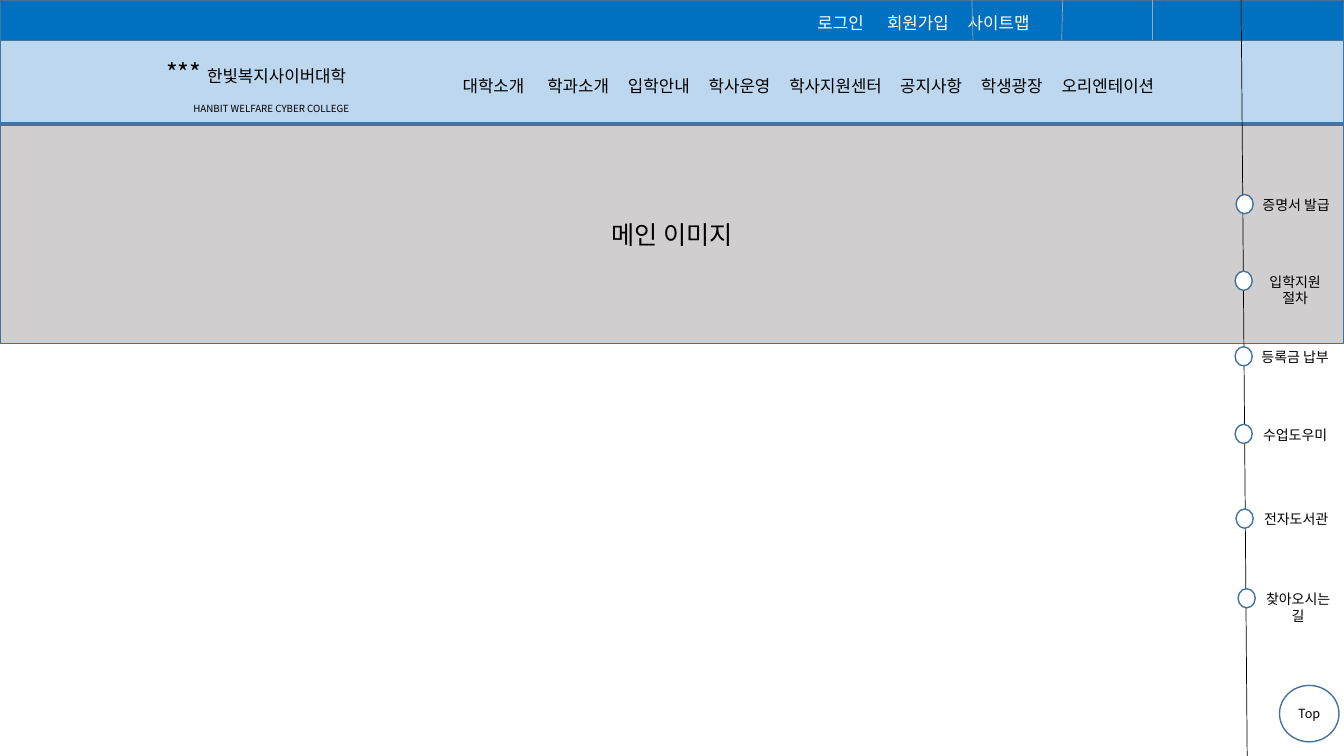
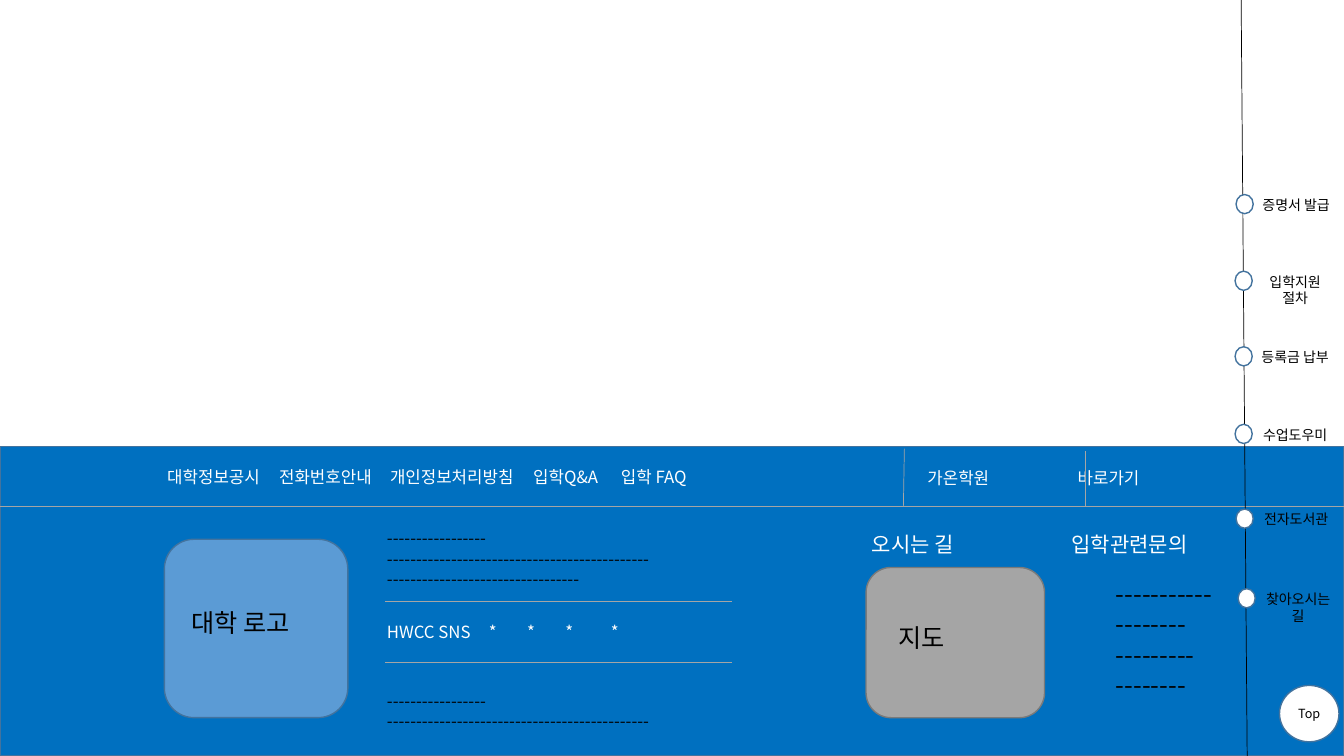
from dataclasses import dataclass

from lxml import etree
from pptx import Presentation
from pptx.dml.color import RGBColor
from pptx.enum.shapes import MSO_CONNECTOR, MSO_SHAPE
from pptx.enum.text import MSO_ANCHOR, PP_ALIGN
from pptx.oxml.ns import qn
from pptx.util import Inches, Pt

RECTANGLE = MSO_SHAPE.RECTANGLE
ROUNDED = MSO_SHAPE.ROUNDED_RECTANGLE
CIRCLE = MSO_SHAPE.FLOWCHART_CONNECTOR
STRAIGHT = MSO_CONNECTOR.STRAIGHT
LEFT, CENTER = PP_ALIGN.LEFT, PP_ALIGN.CENTER
TOP, MIDDLE = MSO_ANCHOR.TOP, MSO_ANCHOR.MIDDLE


@dataclass(frozen=True)
class Theme:
    """Colours, font, type sizes and line widths."""

    font: str = "Noto Sans CJK KR"
    black: str = "000000"
    white: str = "FFFFFF"
    blue: str = "0070C0"
    sky: str = "5B9BD5"
    pale: str = "BDD7EE"
    outline: str = "43739E"
    silver: str = "D0CECE"
    gray: str = "A5A5A5"
    gray_outline: str = "7A7A7A"
    display: int = 18
    heading: int = 15
    body: int = 12
    side: int = 10
    button: int = 9
    caption: int = 7
    border: float = 1
    hairline: float = 0.5


@dataclass(frozen=True)
class Box:
    """A rectangle in inches."""

    left: float
    top: float
    width: float
    height: float

    def inside(self, left, top, width, height):
        """Return a box placed relative to this one."""
        return Box(self.left + left, self.top + top, width, height)

    def lengths(self):
        """Return the four lengths for python-pptx."""
        return [Inches(value) for value in (self.left, self.top, self.width, self.height)]


THEME = Theme()
PAGE = Box(0, 0, 13.33, 7.5)
SIDE_LINKS = [
    (12.26, 1.93, ["증명서 발급"]),
    (12.25, 2.69, ["입학지원", "절차"]),
    (12.25, 3.44, ["등록금 납부"]),
    (12.25, 4.21, ["수업도우미"]),
    (12.26, 5.05, ["전자도서관"]),
    (12.28, 5.84, ["찾아오시는길"]),
]


def apply(target, values):
    """Set each attribute in a dict of format values."""
    for name, value in values.items():
        setattr(target, name, value)


def add_run(paragraph, text, size, color):
    """Add a run in the theme font, for Latin and Hangul alike."""
    run = paragraph.add_run()
    run.text = text
    apply(run.font, {"name": THEME.font, "size": Pt(size)})
    run.font.color.rgb = RGBColor.from_string(color)
    east_asian = etree.SubElement(run.font._element, qn("a:ea"))
    east_asian.set("typeface", THEME.font)


def write(shape, lines, size, color=THEME.black, align=LEFT, **frame_format):
    """Write one paragraph per line into a shape."""
    frame = shape.text_frame
    apply(frame, {"word_wrap": True, "vertical_anchor": TOP, **frame_format})
    for index, line in enumerate(lines):
        paragraph = frame.add_paragraph() if index else frame.paragraphs[0]
        paragraph.alignment = align
        add_run(paragraph, line, size, color)
    return frame


def add_text(slide, box, lines, size=THEME.body, color=THEME.black, align=LEFT):
    """Add a text box and return its text frame."""
    return write(slide.shapes.add_textbox(*box.lengths()), lines, size, color, align)


def add_menu(slide, box, items, stops, size=THEME.body, color=THEME.black):
    """Add a row of items, spaced by tab stops in inches."""
    frame = add_text(slide, box, ["\t".join(items)], size, color)
    properties = frame.paragraphs[0]._p.get_or_add_pPr()
    tabs = etree.SubElement(properties, qn("a:tabLst"))
    for stop in stops:
        tab = etree.SubElement(tabs, qn("a:tab"))
        tab.set("pos", str(Inches(stop)))
        tab.set("algn", "l")


def add_panel(slide, kind, box, fill, outline=THEME.outline):
    """Add a filled shape with a thin outline."""
    shape = slide.shapes.add_shape(kind, *box.lengths())
    shape.shadow.inherit = False
    shape.fill.solid()
    shape.fill.fore_color.rgb = RGBColor.from_string(fill)
    shape.line.color.rgb = RGBColor.from_string(outline)
    shape.line.width = Pt(THEME.border)
    return shape


def add_rule(slide, box, start, end, color=THEME.gray):
    """Add a hairline between two points relative to a box."""
    points = [Inches(value) for x, y in (start, end) for value in (box.left + x, box.top + y)]
    connector = slide.shapes.add_connector(STRAIGHT, *points)
    connector.line.color.rgb = RGBColor.from_string(color)
    connector.line.width = Pt(THEME.hairline)
    etree.SubElement(connector._element.spPr, qn("a:effectLst"))


def add_side_rail(slide, box):
    """Draw the quick-link rail and the Top button."""
    button = add_panel(slide, CIRCLE, box.inside(12.69, 6.8, 0.59, 0.56), THEME.white)
    write(button, ["Top"], THEME.button, align=CENTER, word_wrap=False, vertical_anchor=MIDDLE)
    add_rule(slide, box, (12.31, 0), (12.37, box.height), THEME.black)
    for left, top, lines in SIDE_LINKS:
        add_panel(slide, CIRCLE, box.inside(left, top, 0.17, 0.19), THEME.white)
        label = box.inside(left + 0.12, top - 0.03, 0.95, 0.1 + 0.17 * len(lines))
        add_text(slide, label, lines, THEME.side, align=CENTER)


def add_college_name(slide, box):
    """Write the college name with its small English line."""
    frame = add_text(slide, box, ["*** "], THEME.display)
    add_run(frame.paragraphs[0], "한빛복지사이버대학", THEME.body, THEME.black)
    subtitle = frame.add_paragraph()
    subtitle.space_before = Pt(11)
    subtitle._p.get_or_add_pPr().set("marL", str(Inches(0.27)))
    add_run(subtitle, "HANBIT WELFARE CYBER COLLEGE", THEME.caption, THEME.black)


def add_header(slide, box):
    """Draw the top bar, the college name and the main menu."""
    add_panel(slide, RECTANGLE, box, THEME.pale)
    add_college_name(slide, box.inside(1.55, 0.52, 2.6, 0.71))
    add_menu(
        slide,
        box.inside(4.49, 0.7, 8.33, 0.3),
        ["대학소개", "학과소개", "입학안내", "학사운영", "학사지원센터", "공지사항", "학생광장", "오리엔테이션"],
        [0.84, 1.64, 2.44, 3.24, 4.34, 5.14, 5.94],
    )
    add_panel(slide, RECTANGLE, box.inside(0, 0, box.width, 0.4), THEME.blue)
    add_menu(
        slide,
        box.inside(8.01, 0.08, 4.2, 0.3),
        ["로그인", "회원가입", "사이트맵"],
        [0.69, 1.49],
        color=THEME.white,
    )
    for bottom_x, top_x in ((9.65, 9.64), (10.53, 10.54), (11.43, 11.43), (12.31, 12.31)):
        add_rule(slide, box, (bottom_x, 0.4), (top_x, 0))


def add_main_banner(slide, box):
    """Draw the main image area."""
    banner = add_panel(slide, RECTANGLE, box, THEME.silver)
    write(banner, ["메인 이미지"], THEME.display, align=CENTER, vertical_anchor=MIDDLE)


def add_footer_links(slide, box):
    """Draw the link row at the top of the footer."""
    add_menu(
        slide,
        box.inside(1.56, 0.15, 6.65, 0.3),
        ["대학정보공시", "전화번호안내", "개인정보처리방침", "입학Q&A", "입학 FAQ"],
        [1.11, 2.21, 3.63, 4.5],
        color=THEME.white,
    )
    add_menu(
        slide,
        box.inside(9.1, 0.16, 3, 0.3),
        ["가온학원", "바로가기"],
        [1.49],
        color=THEME.white,
    )
    add_rule(slide, box, (0, box.height), (box.width, box.height))
    add_rule(slide, box, (8.96, box.height), (8.97, 0.02))
    add_rule(slide, box, (10.76, box.height), (10.76, 0.04))


def add_placeholder(slide, box, label, margin, fill, outline):
    """Draw a rounded stand-in with a label near its left side."""
    shape = add_panel(slide, ROUNDED, box, fill, outline)
    write(
        shape,
        [label],
        THEME.display,
        vertical_anchor=MIDDLE,
        margin_left=Inches(margin),
        margin_bottom=Inches(0.16),
    )


def add_footer_details(slide, box):
    """Draw the logo area, address lines, map and enquiries."""
    logo = box.inside(1.63, 0.33, 1.82, 1.77)
    add_placeholder(slide, logo, "대학 로고", 0.18, THEME.sky, THEME.outline)
    address = ["-" * 17, "-" * 45]
    add_text(slide, box.inside(3.74, 0.17, 3.74, 0.71), address + ["-" * 33])
    add_text(slide, box.inside(3.74, 1.78, 3.74, 0.5), address)
    for y in (0.95, 1.55):
        add_rule(slide, box, (3.82, y), (7.26, y))
    add_menu(
        slide,
        box.inside(3.74, 1.1, 3.44, 0.3),
        ["HWCC SNS", "*", "*", "*", "*"],
        [1.01, 1.39, 1.77, 2.22],
        color=THEME.white,
    )
    add_menu(
        slide,
        box.inside(8.55, 0.2, 4.42, 0.35),
        ["오시는 길", "입학관련문의"],
        [1.98],
        THEME.heading,
        THEME.white,
    )
    campus_map = box.inside(8.59, 0.61, 1.77, 1.49)
    add_placeholder(slide, campus_map, "지도", 0.25, THEME.gray, THEME.gray_outline)
    enquiries = ["-" * count for count in (11, 8, 9, 8)]
    add_text(slide, box.inside(10.97, 0.67, 1.95, 1.31), enquiries, THEME.display)


def add_footer(slide, box):
    """Draw the footer band with its two rows."""
    add_panel(slide, RECTANGLE, box, THEME.blue)
    add_footer_links(slide, box.inside(0, 0, box.width, 0.59))
    add_footer_details(slide, box.inside(0, 0.59, box.width, box.height - 0.59))


def build_top_slide(slide):
    """Build the upper part of the home page."""
    add_main_banner(slide, PAGE.inside(0, 1.24, PAGE.width, 2.17))
    add_header(slide, PAGE.inside(0, 0, PAGE.width, 1.22))


def build_bottom_slide(slide):
    """Build the lower part of the home page."""
    add_footer(slide, PAGE.inside(0, 4.43, PAGE.width, 3.07))


def main():
    """Build and save the presentation."""
    presentation = Presentation()
    apply(presentation, {"slide_width": Inches(PAGE.width), "slide_height": Inches(PAGE.height)})
    for build in (build_top_slide, build_bottom_slide):
        slide = presentation.slides.add_slide(presentation.slide_layouts[6])
        build(slide)
        add_side_rail(slide, PAGE)
    presentation.save("out.pptx")


if __name__ == "__main__":
    main()
